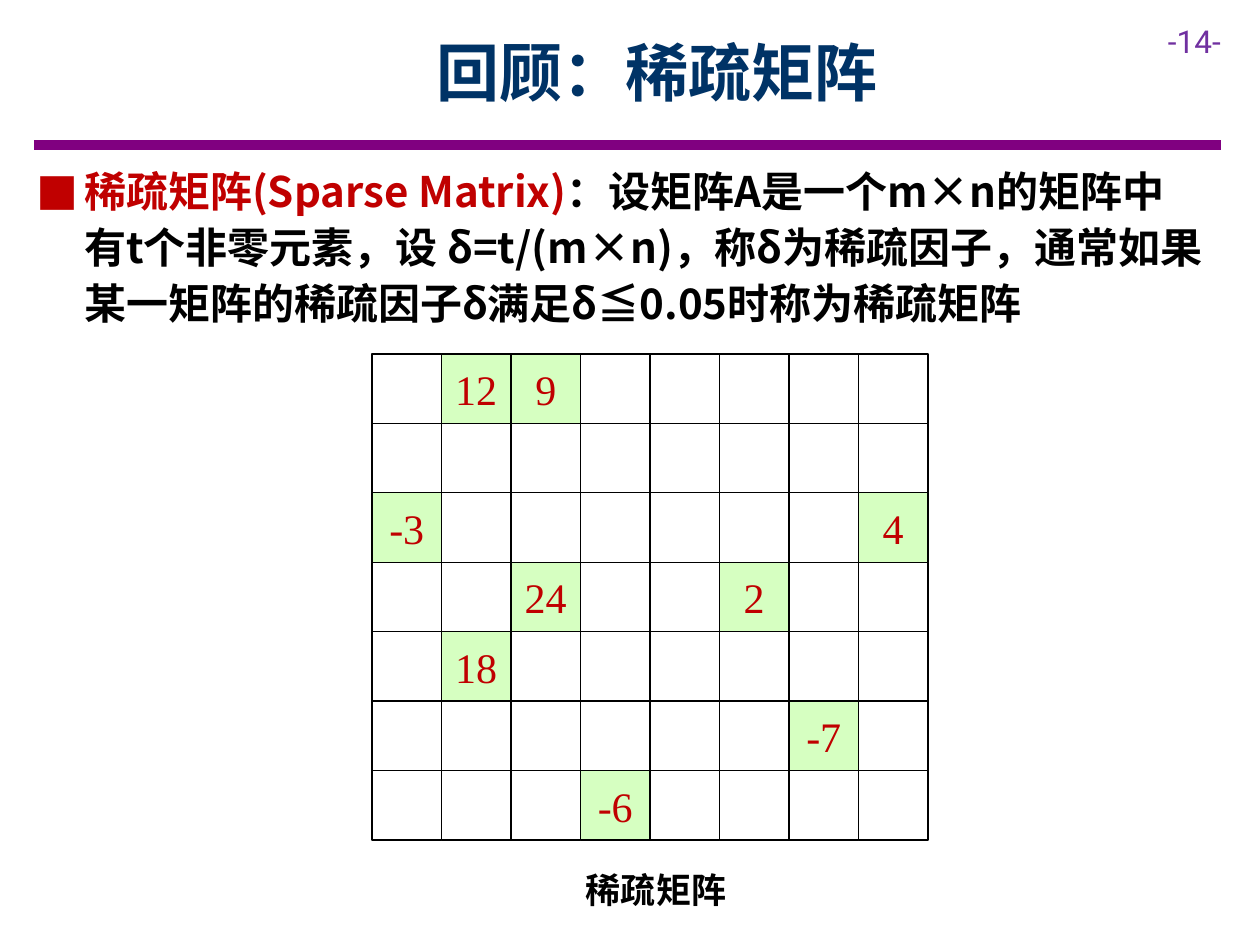
from lxml.etree import SubElement as Sub
from pptx import Presentation
from pptx.dml.color import RGBColor as RGB
from pptx.enum.shapes import MSO_CONNECTOR as CONN, MSO_SHAPE as SHAPE
from pptx.enum.text import MSO_ANCHOR as ANCHOR, MSO_AUTO_SIZE as FIT, PP_ALIGN as ALIGN
from pptx.oxml.ns import qn
from pptx.util import Pt

PX = 914400 / 126
SANS, SERIF = "Noto Sans CJK SC", "Times New Roman"
RED, BLACK = "C00000", "000000"
ROWS, COLS = 7, 8
CELLS = {(0, 1): 12, (0, 2): 9, (2, 0): -3, (2, 7): 4, (3, 2): 24,
         (3, 5): 2, (4, 1): 18, (5, 6): -7, (6, 3): -6}


def px(n):
    return round(n * PX)


def hue(code):
    return RGB.from_string(code)


def put(item, values):
    for key, value in values.items():
        setattr(item, key, value)


def place(shape, box):
    put(shape, dict(zip(("left", "top", "width", "height"), map(px, box))))


def write(para, text, size, face, color, bold=False):
    run = para.add_run()
    run.text = text
    put(run.font, {"size": Pt(size), "name": face, "bold": bold})
    run.font.color.rgb = hue(color)
    # East Asian letters take their own font entry
    Sub(run.font._element, qn("a:ea"), typeface=face)


def frame(shape, pad_x, pad_y, **values):
    text = shape.text_frame
    put(text, {"margin_left": px(pad_x), "margin_right": px(pad_x),
               "margin_top": px(pad_y), "margin_bottom": px(pad_y),
               "word_wrap": True, "auto_size": FIT.NONE, **values})
    return text.paragraphs[0]


def add_head(slide, box):
    left, top, width, height = box
    # Title
    title = slide.shapes.title
    place(title, (left + 110, top, 1026, height))
    para = frame(title, 11, 5, vertical_anchor=ANCHOR.MIDDLE)
    para.alignment = ALIGN.CENTER
    write(para, "回顾：稀疏矩阵", 36, SANS, "003366", True)
    # Page number
    page = slide.shapes.add_textbox(*map(px, (left + 1121, top - 12, 105, 50)))
    write(frame(page, 13, 6), "-14-", 18, "Roboto", "7030A0")
    # Rule below the title
    y = px(top + 117)
    rule = slide.shapes.add_connector(CONN.STRAIGHT, px(left), y, px(left + width), y)
    rule.line.width = Pt(6)
    rule.line.color.rgb = hue("800080")
    Sub(rule._element.spPr, qn("a:effectLst"))


def add_body(slide, box):
    body = slide.placeholders[1]
    place(body, box)
    para = frame(body, 11, 5, vertical_anchor=ANCHOR.TOP)
    put(para, {"line_spacing": Pt(32), "space_before": Pt(0), "alignment": ALIGN.LEFT})
    # Square red bullet with a hanging indent
    props = para._p.get_or_add_pPr()
    props.set("marL", str(px(48)))
    props.set("indent", str(px(-48)))
    Sub(Sub(props, qn("a:buClr")), qn("a:srgbClr"), val=RED)
    Sub(props, qn("a:buFont"), typeface=SANS)
    Sub(props, qn("a:buChar"), char="■")
    write(para, "稀疏矩阵(Sparse Matrix)", 24, SANS, RED, True)
    write(para, "：设矩阵A是一个m×n的矩阵中有t个非零元素，设 δ=t/(m×n)，称δ为稀疏因子，"
          "通常如果某一矩阵的稀疏因子δ满足δ≦0.05时称为稀疏矩阵", 24, SANS, BLACK, True)


def add_grid(slide, box):
    left, top, width, height = box
    wide, high = width / COLS, height / ROWS
    for row in range(ROWS):
        for col in range(COLS):
            spot = (left + col * wide, top + row * high, wide, high)
            cell = slide.shapes.add_shape(SHAPE.RECTANGLE, *map(px, spot))
            cell.shadow.inherit = False
            cell.line.width = Pt(0.75)
            cell.line.color.rgb = hue(BLACK)
            value = CELLS.get((row, col))
            if value is None:
                cell.fill.background()
                continue
            # Filled cell: pale green with its number
            cell.fill.solid()
            cell.fill.fore_color.rgb = hue("99FF66")
            tint = cell._element.spPr.find(qn("a:solidFill"))[0]
            Sub(tint, qn("a:alpha"), val="40000")
            para = frame(cell, 0, 0, vertical_anchor=ANCHOR.MIDDLE)
            para.alignment = ALIGN.CENTER
            write(para, str(value), 24, SERIF, RED)


def add_label(slide, box):
    label = slide.shapes.add_textbox(*map(px, box))
    para = frame(label, 13, 6, word_wrap=False)
    para.line_spacing = Pt(32)
    write(para, "稀疏矩阵", 20, SANS, BLACK, True)


def main():
    deck = Presentation()
    put(deck, {"slide_width": px(1260), "slide_height": px(945)})
    slide = deck.slides.add_slide(deck.slide_layouts[1])
    add_head(slide, (34, 28, 1187, 86))
    add_body(slide, (25, 155, 1191, 181))
    add_grid(slide, (372, 354, 556, 486))
    add_label(slide, (573, 849, 166, 63))
    deck.save("out.pptx")


if __name__ == "__main__":
    main()
